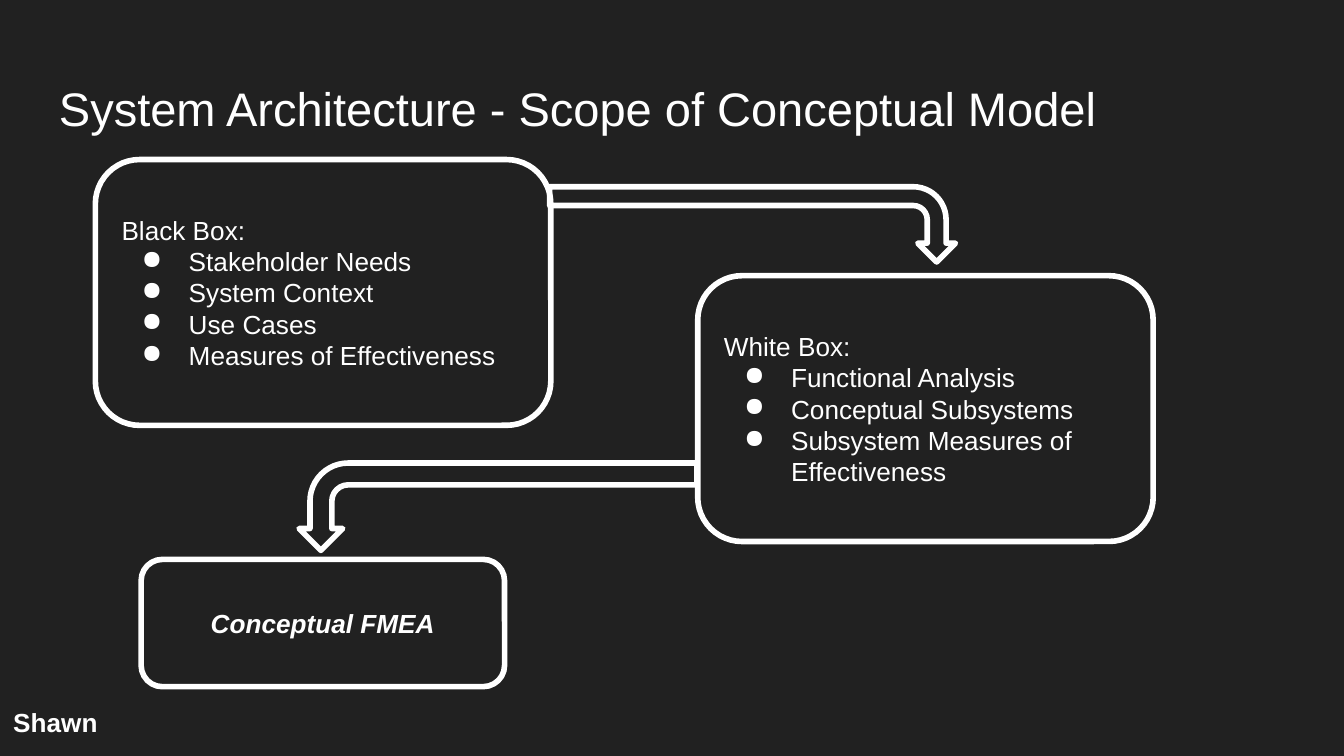
from lxml import etree
from pptx import Presentation
from pptx.dml.color import RGBColor
from pptx.enum import shapes, text
from pptx.oxml import ns
from pptx.util import Pt

COLORS = {"background": "212121", "foreground": "FFFFFF"}
FONT = "Arial"
BODY_SIZE = 14
INSET = 7.2
BULLET_INDENT, BULLET_HANG = 36, 25.2

# Positions are (left, top, width, height) in points.
LABELS = [
    ("System Architecture - Scope of Conceptual Model", (24.5, 35.3, 671, 45.1), 25.2, False),
    ("Shawn", (0, 371.5, 62.6, 33), BODY_SIZE, True),
]
BOXES = [
    ("Black Box:", ["Stakeholder Needs", "System Context", "Use Cases",
                    "Measures of Effectiveness"], (51.1, 85.5, 244, 142.4)),
    ("White Box:", ["Functional Analysis", "Conceptual Subsystems",
                    "Subsystem Measures of Effectiveness"], (373.8, 147.7, 244, 142.4)),
]
RESULT = ("Conceptual FMEA", (75.6, 299.7, 194.7, 68.2))
# Arrow frames are given before rotation: frame, rotation, mirrored.
ARROWS = [
    ((383, 11.5, 40.3, 217.4), 90, False),
    ((243.4, 164.9, 46.8, 213.1), 270, True),
]


def color(name):
    return RGBColor.from_string(COLORS[name])


def write(shape, lines, size=BODY_SIZE, bold=False, italic=False,
          align=text.PP_ALIGN.LEFT, anchor=text.MSO_ANCHOR.MIDDLE):
    """Fill the shape with lines; every line after the first is a bullet."""
    frame = shape.text_frame
    frame.word_wrap = True
    frame.vertical_anchor = anchor
    frame.margin_left = frame.margin_right = Pt(INSET)
    frame.margin_top = frame.margin_bottom = Pt(INSET)
    frame.text = "\n".join(lines)
    for index, paragraph in enumerate(frame.paragraphs):
        paragraph.alignment = align
        font = paragraph.font
        font.name, font.size = FONT, Pt(size)
        font.bold, font.italic = bold, italic
        font.color.rgb = color("foreground")
        if index:
            add_bullet(paragraph)


def add_bullet(paragraph):
    properties = paragraph._p.get_or_add_pPr()
    properties.set("marL", str(Pt(BULLET_INDENT)))
    properties.set("indent", str(-Pt(BULLET_HANG)))
    bullet = etree.Element(ns.qn("a:buChar"), char="●")
    properties.insert(0, bullet)


def add_outline(slide, kind, frame):
    """Add an unfilled shape with a thick, round-joined border."""
    shape = slide.shapes.add_shape(kind, *map(Pt, frame))
    shape.shadow.inherit = False
    shape.fill.background()
    shape.line.color.rgb = color("foreground")
    shape.line.width = Pt(3)
    etree.SubElement(shape.line._get_or_add_ln(), ns.qn("a:round"))
    return shape


def main():
    presentation = Presentation()
    presentation.slide_width, presentation.slide_height = Pt(720), Pt(405)
    slide = presentation.slides.add_slide(presentation.slide_layouts[6])
    slide.background.fill.solid()
    slide.background.fill.fore_color.rgb = color("background")

    for words, frame, size, bold in LABELS:
        label = slide.shapes.add_textbox(*map(Pt, frame))
        write(label, [words], size, bold, anchor=text.MSO_ANCHOR.TOP)

    rounded = shapes.MSO_SHAPE.ROUNDED_RECTANGLE
    for heading, items, frame in BOXES:
        write(add_outline(slide, rounded, frame), [heading, *items])
    words, frame = RESULT
    write(add_outline(slide, rounded, frame), [words], bold=True, italic=True,
          align=text.PP_ALIGN.CENTER)

    for frame, rotation, mirrored in ARROWS:
        arrow = add_outline(slide, shapes.MSO_SHAPE.BENT_ARROW, frame)
        arrow.rotation = rotation
        if mirrored:
            arrow._element.spPr.find(ns.qn("a:xfrm")).set("flipH", "1")

    presentation.save("out.pptx")


if __name__ == "__main__":
    main()
